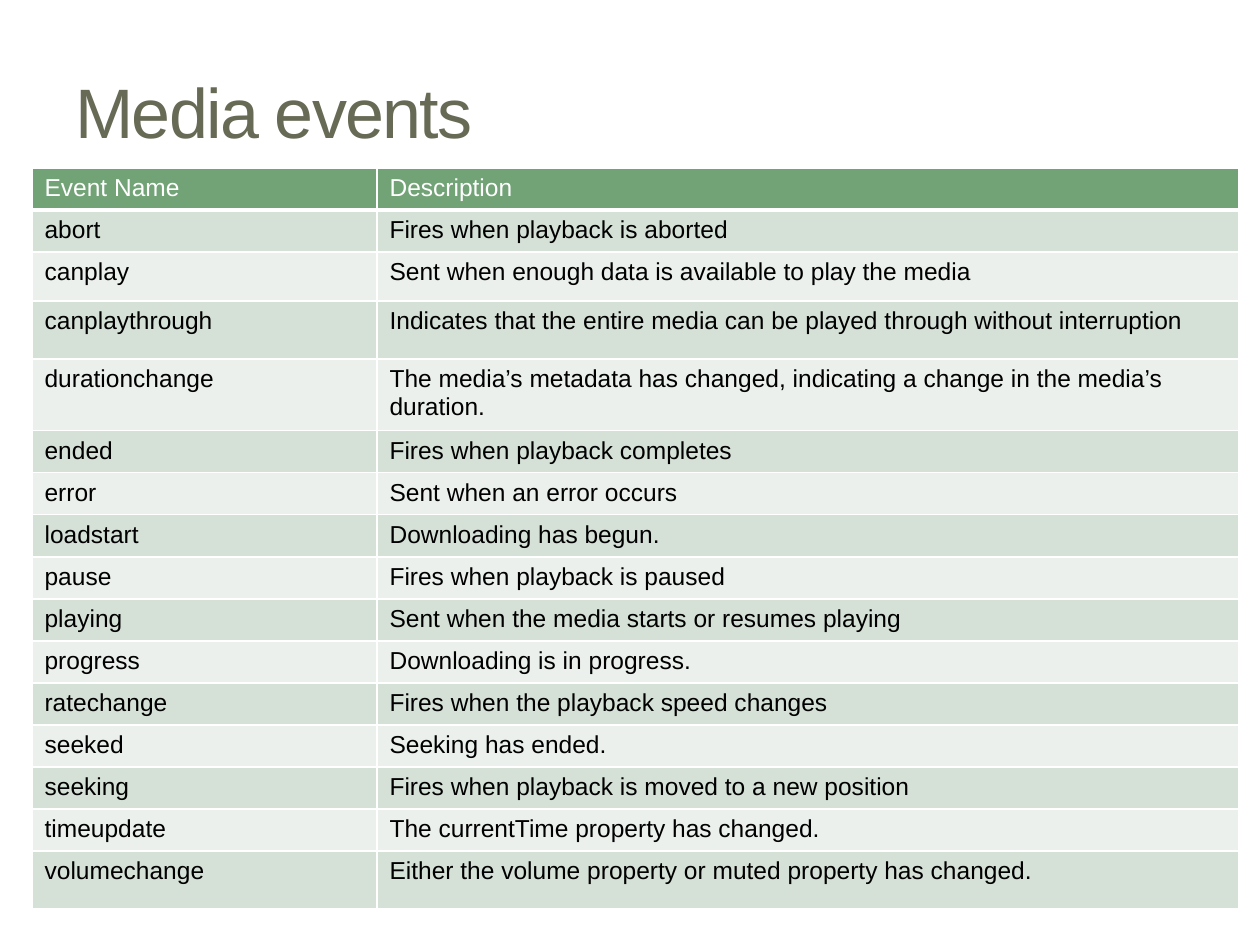
from lxml import etree
from pptx import Presentation
from pptx.dml.color import RGBColor
from pptx.enum.text import MSO_ANCHOR
from pptx.oxml.ns import qn
from pptx.util import Pt

PX = 914400 // 126
MIDDLE, TOP = MSO_ANCHOR.MIDDLE, MSO_ANCHOR.TOP

FONT = "Arial"
OLIVE = RGBColor(0x67, 0x6A, 0x55)
GREEN = RGBColor(0x72, 0xA3, 0x76)
BAND_DARK = RGBColor(0xD5, 0xE0, 0xD6)
BAND_LIGHT = RGBColor(0xEB, 0xF0, 0xEC)
WHITE = RGBColor(0xFF, 0xFF, 0xFF)
BLACK = RGBColor(0, 0, 0)

EVENTS = [
    ("Event Name", "Description"),
    ("abort", "Fires when playback is aborted"),
    ("canplay", "Sent when enough data is available to play the media"),
    ("canplaythrough", "Indicates that the entire media can be played through without interruption"),
    ("durationchange", "The media’s metadata has changed, indicating a change in the media’s duration."),
    ("ended", "Fires when playback completes"),
    ("error", "Sent when an error occurs"),
    ("loadstart", "Downloading has begun."),
    ("pause", "Fires when playback is paused"),
    ("playing", "Sent when the media starts or resumes playing"),
    ("progress", "Downloading is in progress."),
    ("ratechange", "Fires when the playback speed changes"),
    ("seeked", "Seeking has ended."),
    ("seeking", "Fires when playback is moved to a new position"),
    ("timeupdate", "The currentTime property has changed."),
    ("volumechange", "Either the volume property or muted property has changed."),
]
COLUMN_WIDTHS = (345, 862)
ROW_HEIGHT = 40
TALL_ROWS = {"canplay": 49, "canplaythrough": 58, "durationchange": 70, "volumechange": 58}


def write(frame, text, size, color, anchor=TOP, spacing=None):
    """Put one formatted line of text into a text frame."""
    frame.word_wrap = True
    frame.vertical_anchor = anchor
    span = frame.paragraphs[0].add_run()
    span.text = text
    span.font.name = FONT
    span.font.size = Pt(size)
    span.font.bold = False
    span.font.color.rgb = color
    if spacing is not None:
        span.font._element.set("spc", str(spacing * 100))


def set_borders(cell, color, **widths):
    """Draw the cell's borders; widths are points keyed by L, R, T and B."""
    properties = cell._tc.get_or_add_tcPr()
    for side, width in widths.items():
        line = etree.SubElement(properties, qn(f"a:ln{side}"), w=str(Pt(width)))
        fill = etree.SubElement(line, qn("a:solidFill"))
        etree.SubElement(fill, qn("a:srgbClr"), val=str(color))


def add_title(page, left, top, width, height):
    box = page.shapes.add_textbox(left * PX, top * PX, width * PX, height * PX)
    write(box.text_frame, "Media events", size=40, color=OLIVE, anchor=MIDDLE, spacing=-1)


def add_event_table(page, left, top):
    heights = [TALL_ROWS.get(name, ROW_HEIGHT) for name, _ in EVENTS]
    table = page.shapes.add_table(
        len(EVENTS), len(COLUMN_WIDTHS), left * PX, top * PX,
        sum(COLUMN_WIDTHS) * PX, sum(heights) * PX).table
    for column, width in zip(table.columns, COLUMN_WIDTHS):
        column.width = width * PX

    for index, (texts, height) in enumerate(zip(EVENTS, heights)):
        table.rows[index].height = height * PX
        header = index == 0
        band = BAND_DARK if index % 2 else BAND_LIGHT
        for cell, text in zip(table.rows[index].cells, texts):
            # The rule under the header is shared with the first body row
            set_borders(cell, WHITE, L=1, R=1, T=3 if index == 1 else 1, B=3 if header else 1)
            cell.fill.solid()
            cell.fill.fore_color.rgb = GREEN if header else band
            write(cell.text_frame, text, size=14, color=WHITE if header else BLACK)


def main():
    deck = Presentation()
    deck.slide_width = 1260 * PX
    deck.slide_height = 945 * PX
    page = deck.slides.add_slide(deck.slide_layouts[6])
    add_title(page, 63, 42, 536, 136)
    add_event_table(page, 32, 168)
    deck.save("out.pptx")


if __name__ == "__main__":
    main()
